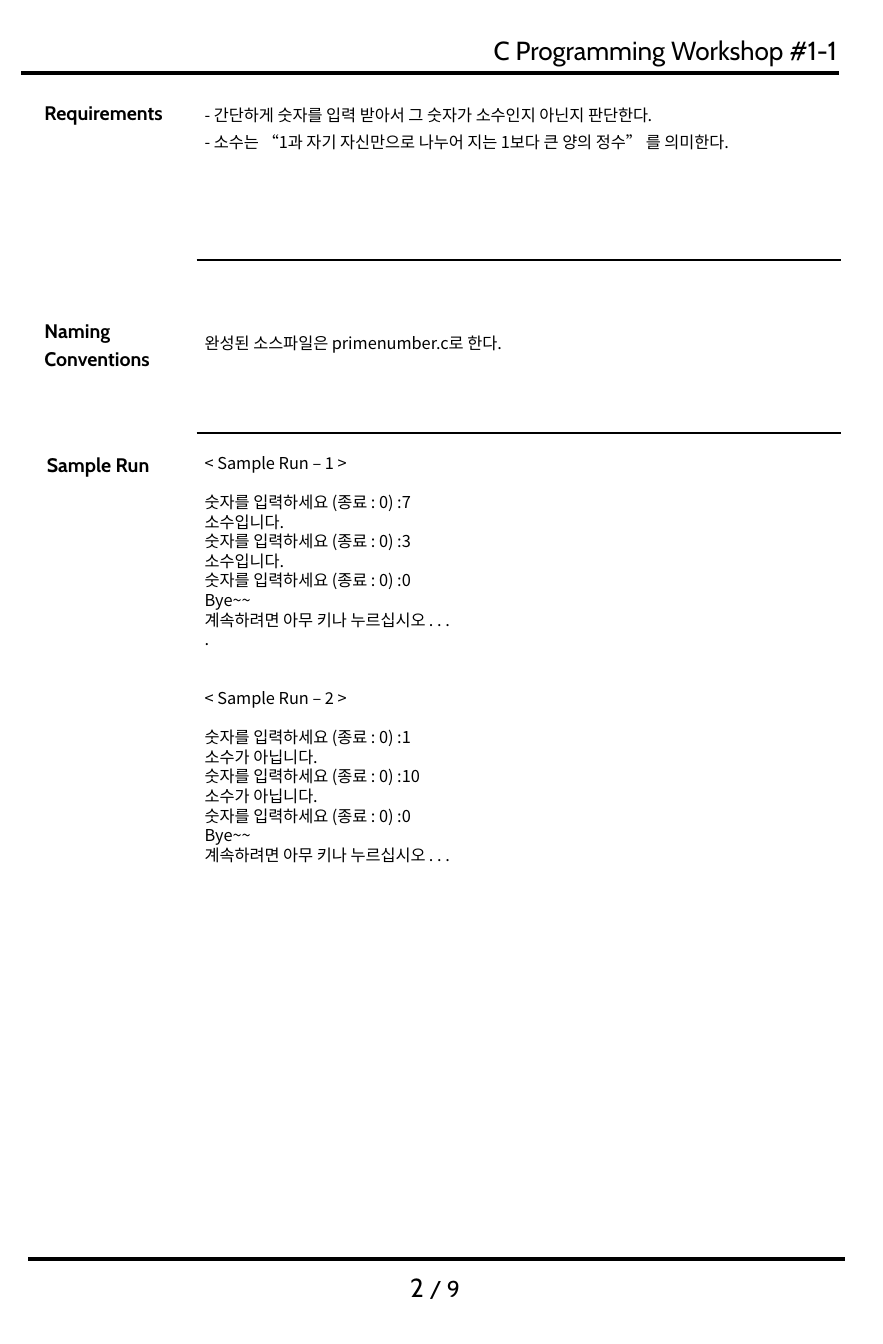
import lxml.etree
import pptx
import pptx.dml.color
import pptx.enum.shapes
import pptx.enum.text
import pptx.oxml.ns
import pptx.util

BLACK = "000000"
LATIN_FONT = "Cabin"
KOREAN_FONT = "Noto Sans CJK KR"
ALIGN = pptx.enum.text.PP_ALIGN
PAGE_WIDTH, PAGE_HEIGHT = 540, 822.24
LABEL_LEFT, BODY_LEFT = 20.16, 118.08
LABEL_WIDTH, BODY_WIDTH = 102, 396
RULE_LEFT, RULE_RIGHT = 120.24, 514.08

REQUIREMENTS = [
    "- 간단하게 숫자를 입력 받아서 그 숫자가 소수인지 아닌지 판단한다.",
    "- 소수는 “1과 자기 자신만으로 나누어 지는 1보다 큰 양의 정수” 를 의미한다.",
]
NAMING = ["완성된 소스파일은 primenumber.c로 한다."]
PROMPT = "숫자를 입력하세요 (종료 : 0) :"
ENDING = ["Bye~~", "계속하려면 아무 키나 누르십시오 . . ."]
SAMPLE_RUNS = [
    (["7", "3"], "소수입니다.", ENDING + ["."]),
    (["1", "10"], "소수가 아닙니다.", ENDING),
]


def color(hex_code):
    """Turn a hex string into a colour."""
    return pptx.dml.color.RGBColor.from_string(hex_code)


def format_run(run, size, font_name, bold=False):
    """Give a run its size, colour and both Latin and East Asian fonts."""
    run.font.size = pptx.util.Pt(size)
    run.font.name = font_name
    run.font.bold = bold
    run.font.color.rgb = color(BLACK)
    east_asian = lxml.etree.SubElement(run.font._element, pptx.oxml.ns.qn("a:ea"))
    east_asian.set("typeface", font_name)


def add_text(slide, box, lines, size, font_name, bold=False, align=ALIGN.LEFT,
             space_before=0, line_spacing=None):
    """Add a text box with one paragraph per line and return its frame."""
    shape = slide.shapes.add_textbox(*(pptx.util.Pt(length) for length in box))
    text_frame = shape.text_frame
    text_frame.word_wrap = True
    text_frame.text = "\n".join(lines)
    for paragraph in text_frame.paragraphs:
        paragraph.alignment = align
        paragraph.space_before = pptx.util.Pt(space_before)
        if line_spacing:
            paragraph.line_spacing = line_spacing
        for run in paragraph.runs:
            format_run(run, size, font_name, bold)
    return text_frame


def add_rule(slide, left, right, top, width):
    """Draw a horizontal black line."""
    rule = slide.shapes.add_connector(
        pptx.enum.shapes.MSO_CONNECTOR.STRAIGHT,
        *(pptx.util.Pt(length) for length in (left, top, right, top)))
    rule.line.color.rgb = color(BLACK)
    rule.line.width = pptx.util.Pt(width)
    properties = rule._element.find(pptx.oxml.ns.qn("p:spPr"))
    lxml.etree.SubElement(properties, pptx.oxml.ns.qn("a:effectLst"))


def add_label(slide, left, top, lines):
    """Add a bold section label in the left column."""
    add_text(slide, (left, top, LABEL_WIDTH, 30.96), lines, 12, LATIN_FONT,
             bold=True, space_before=3)


def add_statement(slide, top, height, lines):
    """Add justified body text in the right column."""
    add_text(slide, (BODY_LEFT, top, BODY_WIDTH, height), lines, 10, KOREAN_FONT,
             align=ALIGN.JUSTIFY, space_before=2.5, line_spacing=1.2)


def add_sample_runs(slide, top, height):
    """Add the sample sessions, separating title and session by spacing."""
    lines, gaps = [], {}
    for number, (entries, verdict, ending) in enumerate(SAMPLE_RUNS, 1):
        gaps[len(lines)] = 24 if lines else 0
        lines.append(f"< Sample Run – {number} >")
        gaps[len(lines)] = 12
        for entry in entries:
            lines += [PROMPT + entry, verdict]
        lines += [PROMPT + "0"] + ending
    text_frame = add_text(slide, (BODY_LEFT, top, BODY_WIDTH, height), lines, 10,
                          KOREAN_FONT, line_spacing=pptx.util.Pt(12))
    for index, gap in gaps.items():
        text_frame.paragraphs[index].space_before = pptx.util.Pt(gap)


def add_header(slide, top):
    """Add the workshop title and the rule under it."""
    add_text(slide, (274.32, top, 244.8, 46.08), ["C Programming Workshop #1-1"],
             16, LATIN_FONT, align=ALIGN.RIGHT)
    add_rule(slide, 12.96, 513.36, top + 27.36, 2.25)


def add_footer(slide, top):
    """Add the bottom rule and the page number."""
    add_rule(slide, 17.28, 516.96, top, 2.25)
    text_frame = add_text(slide, (172.8, top + 3.6, 186.48, 25.92), ["2 "], 16,
                          LATIN_FONT, align=ALIGN.CENTER)
    total = text_frame.paragraphs[0].add_run()
    total.text = "/ 9"
    format_run(total, 14, LATIN_FONT)


def main():
    """Build the workshop page and save it."""
    presentation = pptx.Presentation()
    presentation.slide_width = pptx.util.Pt(PAGE_WIDTH)
    presentation.slide_height = pptx.util.Pt(PAGE_HEIGHT)
    slide = presentation.slides.add_slide(presentation.slide_layouts[6])
    add_header(slide, 17.28)
    add_label(slide, LABEL_LEFT, 58.32, ["Requirements"])
    add_statement(slide, 58.32, 38.88, REQUIREMENTS)
    add_rule(slide, RULE_LEFT, RULE_RIGHT, 159.12, 1.5)
    add_label(slide, LABEL_LEFT, 191.52, ["Naming", "Conventions"])
    add_statement(slide, 198, 21.6, NAMING)
    add_rule(slide, RULE_LEFT, RULE_RIGHT, 264.96, 1.5)
    add_label(slide, LABEL_LEFT + 1.44, 273.6, ["Sample Run"])
    add_sample_runs(slide, 273.6, 272.16)
    add_footer(slide, 770.4)
    presentation.save("out.pptx")


if __name__ == "__main__":
    main()
